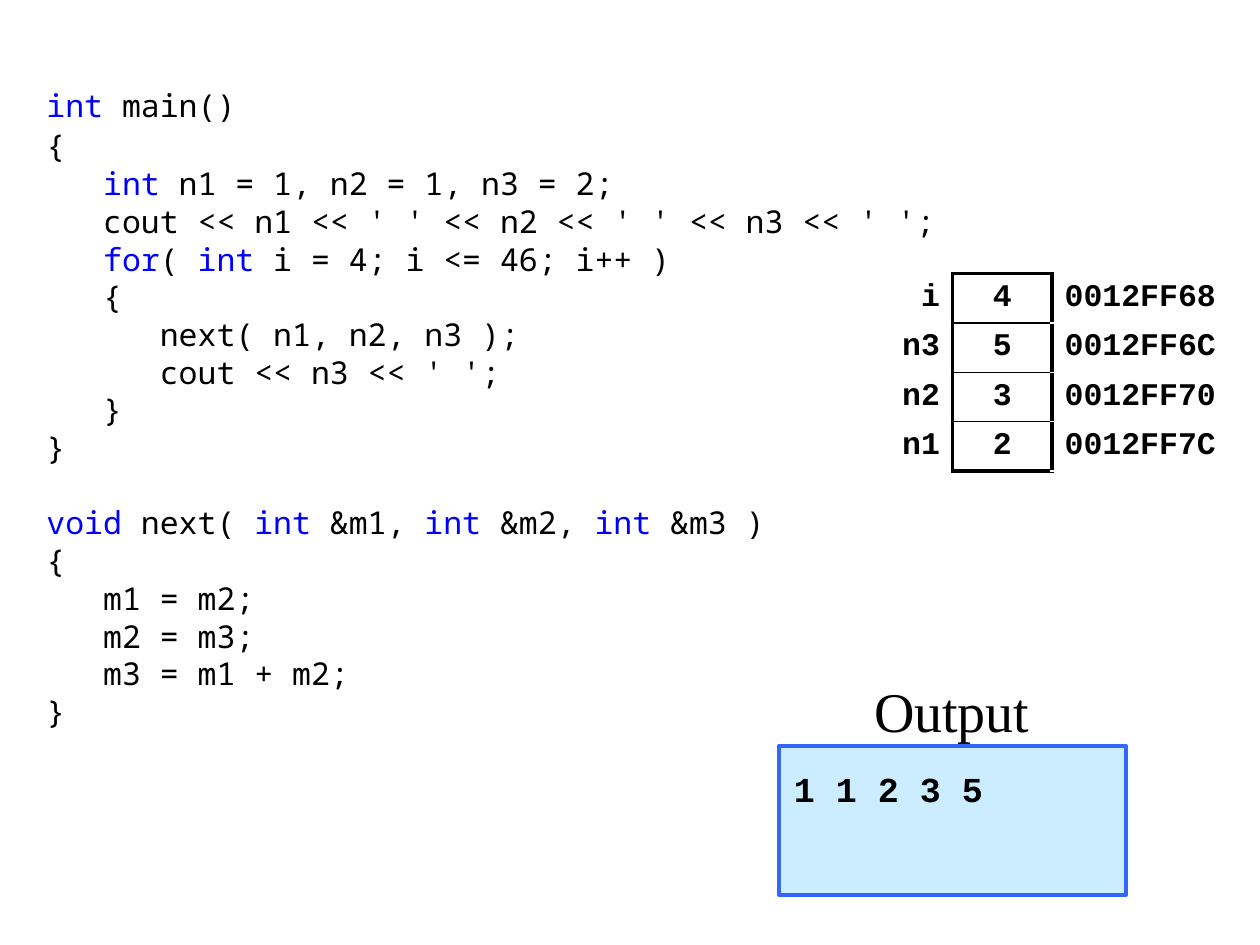
from lxml import etree
from pptx import Presentation
from pptx.dml.color import RGBColor
from pptx.enum.shapes import MSO_SHAPE as SHAPE
from pptx.enum.text import MSO_ANCHOR as ANCHOR, PP_ALIGN as ALIGN
from pptx.oxml.ns import qn
from pptx.util import Inches, Pt

BLACK, BLUE = "000000", "0000FF"
CODE = """|int| main()
{
   |int| n1 = 1, n2 = 1, n3 = 2;
   cout << n1 << ' ' << n2 << ' ' << n3 << ' ';
   |for|( |int| i = 4; i <= 46; i++ )
   {
      next( n1, n2, n3 );
      cout << n3 << ' ';
   }
}

|void| next( |int| &m1, |int| &m2, |int| &m3 )
{
   m1 = m2;
   m2 = m3;
   m3 = m1 + m2;
}"""
MEMORY = [("i", "4", "0012FF68"), ("n3", "5", "0012FF6C"),
          ("n2", "3", "0012FF70"), ("n1", "2", "0012FF7C")]


def rgb(value):
    return RGBColor.from_string(value)


class Deck:
    mono = "Courier New"
    code_font = "Noto Sans Mono"
    serif = "Times New Roman"
    code_size = 18
    code_pitch = 21.55

    def __init__(self, width, height):
        self.prs = Presentation()
        self.prs.slide_width, self.prs.slide_height = Inches(width), Inches(height)
        self.s = self.prs.slides.add_slide(self.prs.slide_layouts[6])

    def font(self, r, name, size, color=BLACK, bold=False):
        r.font.name, r.font.size, r.font.bold = name, Pt(size), bold
        r.font.color.rgb = rgb(color)

    def set_text(self, tf, text, name, size, align=ALIGN.LEFT, bold=False):
        tf.text = text
        p = tf.paragraphs[0]
        p.alignment = align
        self.font(p.runs[0], name, size, bold=bold)

    def margins(self, tf, left, top, right, bottom):
        tf.margin_left, tf.margin_top = Inches(left), Inches(top)
        tf.margin_right, tf.margin_bottom = Inches(right), Inches(bottom)

    def box(self, at):
        return self.s.shapes.add_textbox(*map(Inches, at))

    def code(self, at, source):
        tf = self.box(at).text_frame
        tf.word_wrap = True
        self.margins(tf, 0.1, 0.08, 0.1, 0.05)
        for n, block in enumerate(source.split("\n\n")):
            for i, line in enumerate(block.split("\n")):
                p = tf.add_paragraph() if n or i else tf.paragraphs[0]
                p.line_spacing = Pt(self.code_pitch)
                if n and i == 0:
                    p.space_before = Pt(self.code_pitch)
                elif i == 1 and not n:
                    p.space_before = Pt(1.8)
                for k, part in enumerate(line.split("|")):
                    if part:
                        r = p.add_run()
                        r.text = part
                        self.font(r, self.code_font, self.code_size, BLUE if k % 2 else BLACK)

    def border(self, cell, **widths):
        tc_pr = cell._tc.get_or_add_tcPr()
        for i, (side, width) in enumerate(widths.items()):
            ln = etree.Element(qn(f"a:ln{side}"), w=str(Pt(width)))
            fill = etree.SubElement(ln, qn("a:solidFill"))
            etree.SubElement(fill, qn("a:srgbClr"), val=BLACK)
            tc_pr.insert(i, ln)

    def memory(self, at, widths, rows, thick=2.25, thin=1):
        table = self.s.shapes.add_table(len(rows), len(widths), *map(Inches, at)).table
        table.first_row = table.horz_banding = False
        for col, width in zip(table.columns, widths):
            col.width = Inches(width)
        aligns = (ALIGN.LEFT, ALIGN.RIGHT, ALIGN.CENTER, ALIGN.LEFT)
        last = len(rows) - 1
        for i, values in enumerate(rows):
            for j, text in enumerate(("", *values)):
                cell = table.cell(i, j)
                cell.fill.background()
                cell.vertical_anchor = ANCHOR.MIDDLE
                self.margins(cell, 0.1, 0, 0.08 if j == 3 else 0.1, 0)
                if text:
                    self.set_text(cell.text_frame, text, self.mono, 18, aligns[j], True)
            self.border(table.cell(i, 1), R=thick)
            self.border(table.cell(i, 2), L=thick, R=thick,
                        T=thin if i else thick, B=thin if i < last else thick)
            self.border(table.cell(i, 3), L=thick)

    def output(self, at, text):
        sp = self.s.shapes.add_shape(SHAPE.RECTANGLE, *map(Inches, at))
        sp.shadow.inherit = False
        sp.fill.solid()
        sp.fill.fore_color.rgb = rgb("CCECFF")
        sp.line.color.rgb = rgb("3366FF")
        sp.line.width = Pt(2.25)
        tf = sp.text_frame
        tf.vertical_anchor = ANCHOR.TOP
        self.margins(tf, 0.12, 0.17, 0.1, 0.05)
        self.set_text(tf, text, self.mono, 20, bold=True)

    def label(self, at, text):
        tf = self.box(at).text_frame
        tf.word_wrap = False
        self.margins(tf, 0.1, 0.04, 0.1, 0.05)
        self.set_text(tf, text, self.serif, 32, ALIGN.CENTER)


def main():
    deck = Deck(10, 7.5)
    deck.code((0.27, 0.6, 7.28, 5.32), CODE)
    deck.memory((6.38, 2.17, 3.35, 1.57), (0.59, 0.59, 0.79, 1.38), MEMORY)
    deck.output((6.18, 5.92, 2.76, 1.18), "1 1 2 3 5")
    deck.label((6.77, 5.33, 1.57, 0.59), "Output")
    deck.prs.save("out.pptx")


if __name__ == "__main__":
    main()
